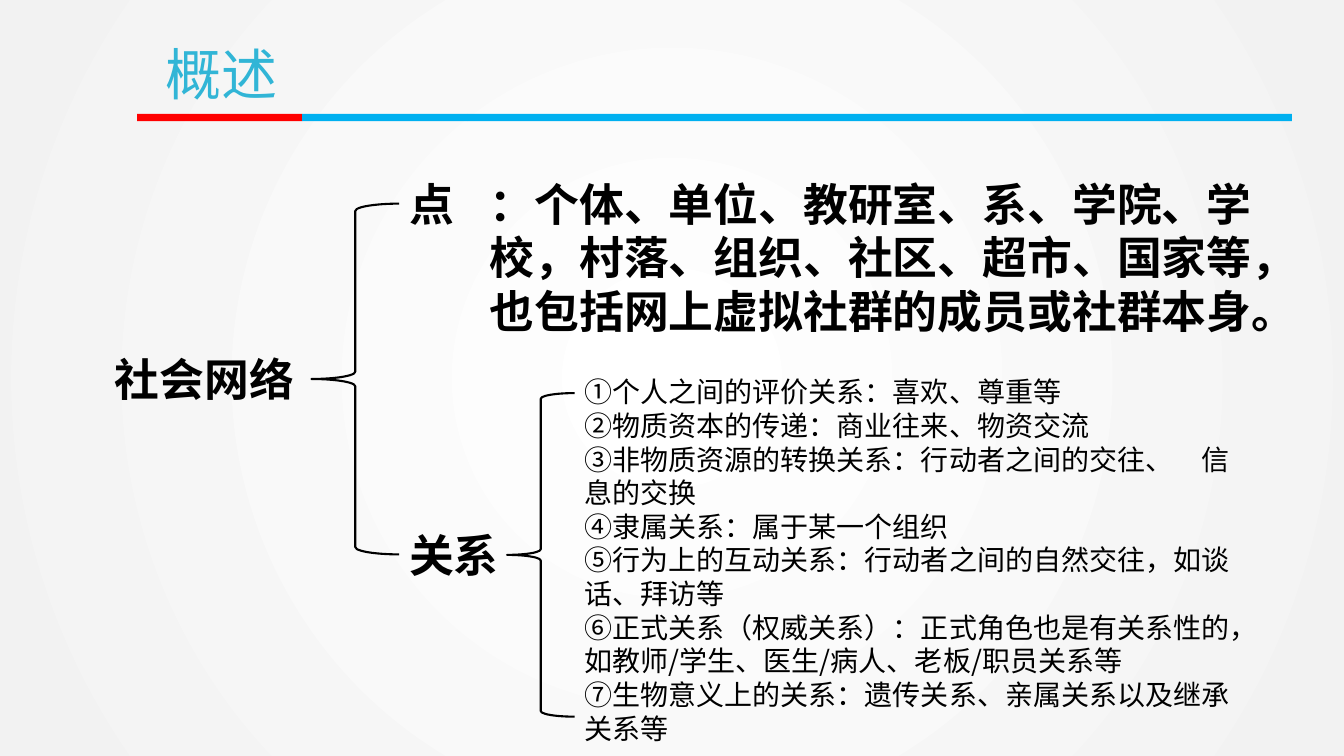
from lxml import etree
from pptx import Presentation
from pptx.dml.color import RGBColor
from pptx.enum.shapes import MSO_SHAPE
from pptx.enum.text import MSO_ANCHOR, PP_ALIGN
from pptx.oxml.ns import qn
from pptx.util import Inches, Pt

RECTANGLE = MSO_SHAPE.RECTANGLE
LEFT_BRACE = MSO_SHAPE.LEFT_BRACE
TOP = MSO_ANCHOR.TOP
LEFT = PP_ALIGN.LEFT
FONT = "Noto Sans CJK SC"
COLUMNS = 40
ROWS = 22.5
CELL = Inches(1) / 3


def rgb(color):
    return RGBColor.from_string(color)


def write(shape, text, left, top, width, height, size=32, color="000000", bold=False):
    shape.left, shape.top, shape.width, shape.height = (
        round(length * CELL) for length in (left, top, width, height)
    )
    frame = shape.text_frame
    frame.word_wrap = True
    frame.vertical_anchor = TOP
    frame.text = text
    for paragraph in frame.paragraphs:
        paragraph.alignment = LEFT
        paragraph.line_spacing = Pt(size * 1.2)
        for run in paragraph.runs:
            run.font.name = FONT
            run.font.size = Pt(size)
            run.font.bold = bold
            run.font.color.rgb = rgb(color)
            latin = run.font._element.find(qn("a:latin"))
            east_asian = etree.Element(qn("a:ea"), typeface=FONT)
            latin.addnext(east_asian)


presentation = Presentation()
presentation.slide_width = round(COLUMNS * CELL)
presentation.slide_height = round(ROWS * CELL)
slide = presentation.slides.add_slide(presentation.slide_layouts[5])
shapes = slide.shapes

background = slide.background.fill
background.gradient()
for stop, color in zip(background.gradient_stops, ("FFFFFF", "F2F2F2")):
    stop.color.rgb = rgb(color)
gradient = slide.background._cSld.find(".//" + qn("a:gradFill"))
linear = gradient.find(qn("a:lin"))
radial = etree.Element(qn("a:path"), {"path": "circle"})
center = {side: "50000" for side in "ltrb"}
etree.SubElement(radial, qn("a:fillToRect"), center)
gradient.replace(linear, radial)

BAR_LEFT, BAR_TOP, BAR_WIDTH, BAR_HEIGHT = 4.08, 3.39, 4.91, 0.22
for index, color in enumerate(["FF0000"] + ["00B0F0"] * 6):
    bar = shapes.add_shape(
        RECTANGLE,
        round((BAR_LEFT + index * BAR_WIDTH) * CELL),
        round(BAR_TOP * CELL),
        round(BAR_WIDTH * CELL),
        round(BAR_HEIGHT * CELL),
    )
    bar.shadow.inherit = False
    bar.fill.solid()
    bar.fill.fore_color.rgb = rgb(color)
    bar.line.fill.background()

write(shapes.title, "概述", 4.62, 1.02, 25.5, 2.31, size=40, color="31B5D6")

braces = [(9.27, 6.06, 2.61, 10.44), (15.09, 11.7, 2.01, 9.63)]
for box in braces:
    brace = shapes.add_shape(LEFT_BRACE, *(round(length * CELL) for length in box))
    brace.shadow.inherit = False
    brace.fill.background()
    brace.line.color.rgb = rgb("000000")
    brace.line.width = Pt(1.5)

BRANCH_LEFT, POINT_TOP, LABEL_WIDTH, LABEL_HEIGHT = 11.88, 5.1, 6.15, 1.89
labels = [
    ("社会网络", 3.12, 10.32),
    ("点", BRANCH_LEFT, POINT_TOP),
    ("关系", BRANCH_LEFT, 15.57),
]
for text, left, top in labels:
    label = shapes.add_textbox(0, 0, 0, 0)
    write(label, text, left, top, LABEL_WIDTH, LABEL_HEIGHT, bold=True)

points = (
    "：个体、单位、教研室、系、学院、学校，村落、组织、社区、超市、国家等，"
    "也包括网上虚拟社群的成员或社群本身。"
)
write(shapes.add_textbox(0, 0, 0, 0), points, 14.28, POINT_TOP, 24, 5.1, bold=True)

relations = [
    "①个人之间的评价关系：喜欢、尊重等",
    "②物质资本的传递：商业往来、物资交流",
    "③非物质资源的转换关系：行动者之间的交往、　信息的交换",
    "④隶属关系：属于某一个组织",
    "⑤行为上的互动关系：行动者之间的自然交往，如谈话、拜访等",
    "⑥正式关系（权威关系）：正式角色也是有关系性的，如教师/学生、医生/病人、老板/职员关系等",
    "⑦生物意义上的关系：遗传关系、亲属关系以及继承关系等",
]
relation_list = shapes.add_textbox(0, 0, 0, 0)
write(relation_list, "\n".join(relations), 17.1, 11.01, 19.8, 11.31, size=20)

presentation.save("out.pptx")
